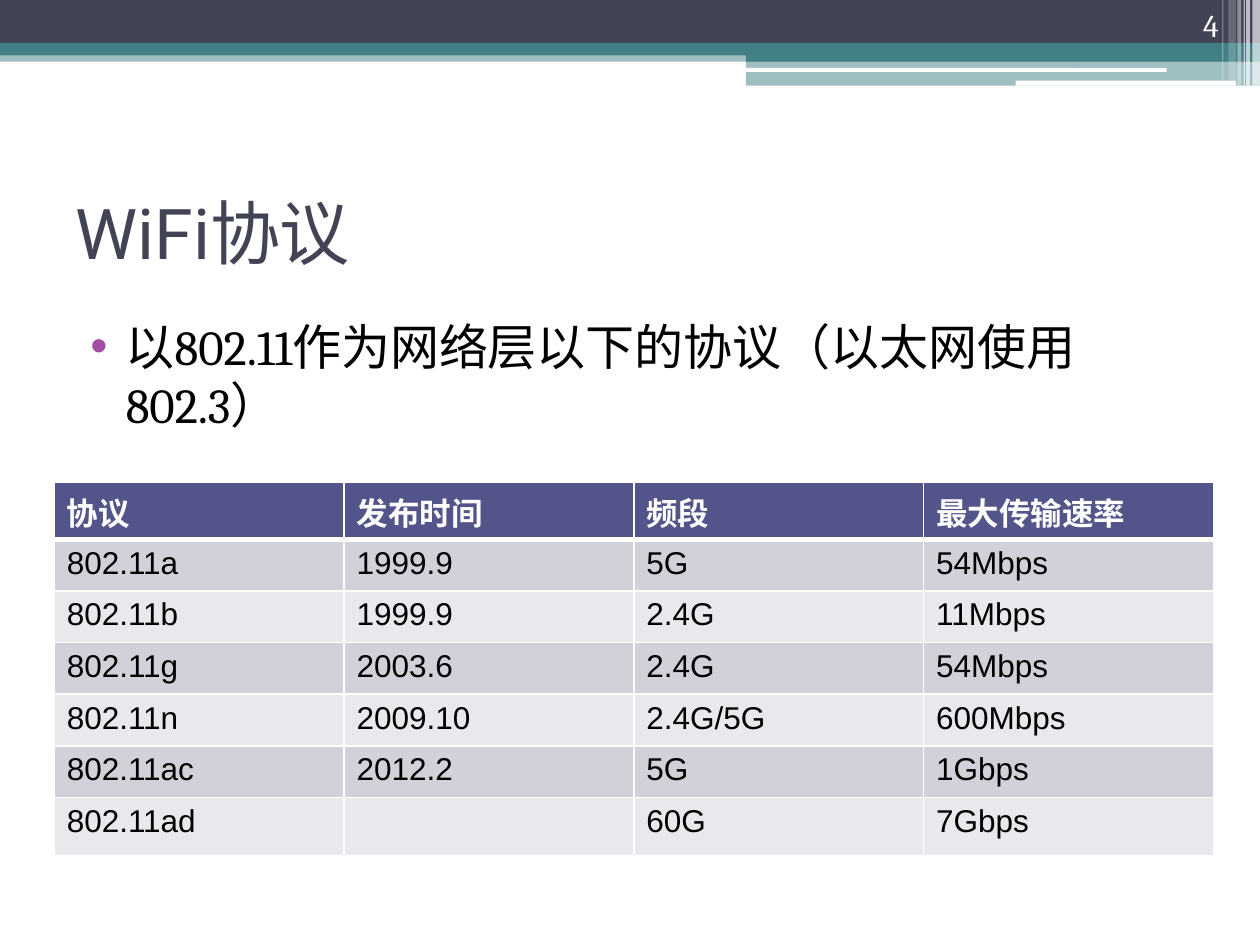
from lxml import etree
from pptx import Presentation
from pptx.dml.color import RGBColor
from pptx.enum.shapes import MSO_SHAPE
from pptx.enum.text import MSO_ANCHOR, PP_ALIGN
from pptx.oxml.ns import qn
from pptx.util import Inches, Pt


def color(hex_text):
    return RGBColor.from_string(hex_text)


def write(frame, text, size=18, font="Arial", ink="000000", bold=False,
          align=PP_ALIGN.LEFT, anchor=MSO_ANCHOR.TOP):
    frame.word_wrap = True
    frame.vertical_anchor = anchor
    para = frame.paragraphs[0]
    para.alignment = align
    span = para.add_run()
    span.text = text
    span.font.size = Pt(size)
    span.font.name = font
    span.font.bold = bold
    span.font.color.rgb = color(ink)
    return para


deck = Presentation()
deck.slide_width, deck.slide_height = Inches(10), Inches(7.5)
page = deck.slides.add_slide(deck.slide_layouts[6])

# Top banner: left, top, width, height, fill, opacity in percent
RECT, ROUND = MSO_SHAPE.RECTANGLE, MSO_SHAPE.ROUNDED_RECTANGLE
NAVY, TEAL, WHITE = "424456", "438086", "FFFFFF"
banner = [
    (RECT, 0, 0.4, 10, 0.09, TEAL, 50),
    (RECT, 0, 0, 10, 0.34, NAVY, 100),
    (RECT, 0, 0.34, 10, 0.1, TEAL, 100),
    (RECT, 5.92, 0.39, 4.08, 0.1, TEAL, 100),
    (RECT, 5.92, 0.48, 4.08, 0.2, TEAL, 50),
    (ROUND, 5.91, 0.54, 3.35, 0.03, WHITE, 100),
    (ROUND, 8.06, 0.64, 1.75, 0.04, WHITE, 100),
    (RECT, 9.94, 0, 0.06, 0.68, WHITE, 65),
    (RECT, 9.89, 0, 0.03, 0.68, WHITE, 65),
    (RECT, 9.87, 0, 0.01, 0.68, WHITE, 60),
    (RECT, 9.82, 0, 0.03, 0.68, WHITE, 40),
    (RECT, 9.75, 0, 0.06, 0.64, WHITE, 20),
    (RECT, 9.7, 0, 0.01, 0.64, WHITE, 30),
]
for kind, left, top, width, height, fill, opacity in banner:
    bar = page.shapes.add_shape(kind, Inches(left), Inches(top), Inches(width), Inches(height))
    bar.shadow.inherit = False
    bar.line.fill.background()
    bar.fill.solid()
    bar.fill.fore_color.rgb = color(fill)
    if opacity < 100:
        tint = bar.fill._xPr.find(qn("a:solidFill"))[0]
        etree.SubElement(tint, qn("a:alpha")).set("val", str(opacity * 1000))

# Title and page number
title = page.shapes.add_textbox(Inches(0.5), Inches(1.25), Inches(9), Inches(1.17))
write(title.text_frame, "WiFi协议", size=40, font="Roboto", ink=NAVY, anchor=MSO_ANCHOR.MIDDLE)
number = page.shapes.add_textbox(Inches(8.94), Inches(0), Inches(0.83), Inches(0.4))
write(number.text_frame, "4", font="Cambria", ink=WHITE,
      align=PP_ALIGN.RIGHT, anchor=MSO_ANCHOR.BOTTOM)

# Bulleted statement
body = page.shapes.add_textbox(Inches(0.5), Inches(2.46), Inches(9), Inches(4.75))
para = write(body.text_frame, "以802.11作为网络层以下的协议（以太网使用802.3）", size=28, font="Cambria")
para.space_before = Pt(3)
layout = para._p.get_or_add_pPr()
layout.set("marL", str(Inches(0.4)))
layout.set("indent", str(Inches(-0.28)))
bullet_color = etree.SubElement(layout, qn("a:buClr"))
etree.SubElement(bullet_color, qn("a:srgbClr")).set("val", "A04DA3")
etree.SubElement(layout, qn("a:buFont")).set("typeface", "Arial")
etree.SubElement(layout, qn("a:buChar")).set("char", "•")

# Protocol table
protocols = [
    ("协议", "发布时间", "频段", "最大传输速率"),
    ("802.11a", "1999.9", "5G", "54Mbps"),
    ("802.11b", "1999.9", "2.4G", "11Mbps"),
    ("802.11g", "2003.6", "2.4G", "54Mbps"),
    ("802.11n", "2009.10", "2.4G/5G", "600Mbps"),
    ("802.11ac", "2012.2", "5G", "1Gbps"),
    ("802.11ad", "", "60G", "7Gbps"),
]
heights = [0.45] + [0.41] * 5 + [0.46]
table = page.shapes.add_table(len(protocols), 4, Inches(0.43), Inches(3.83),
                              Inches(9.21), Inches(sum(heights))).table
for column in table.columns:
    column.width = Inches(2.3)
for row, texts in enumerate(protocols):
    table.rows[row].height = Inches(heights[row])
    header = row == 0
    for col, text in enumerate(texts):
        cell = table.cell(row, col)
        if text:
            write(cell.text_frame, text, font="Cambria" if header else "Arial",
                  ink=WHITE if header else "000000", bold=header)
        # White rules, heavier below the header
        for side in ("lnL", "lnR", "lnT", "lnB"):
            heavy = (header and side == "lnB") or (row == 1 and side == "lnT")
            rule = etree.SubElement(cell._tc.get_or_add_tcPr(), qn("a:" + side))
            rule.set("w", str(Pt(3 if heavy else 1)))
            paint = etree.SubElement(rule, qn("a:solidFill"))
            etree.SubElement(paint, qn("a:srgbClr")).set("val", WHITE)
        cell.fill.solid()
        cell.fill.fore_color.rgb = color("53548A" if header else ("E9E9ED", "D1D1DA")[row % 2])

deck.save("out.pptx")
